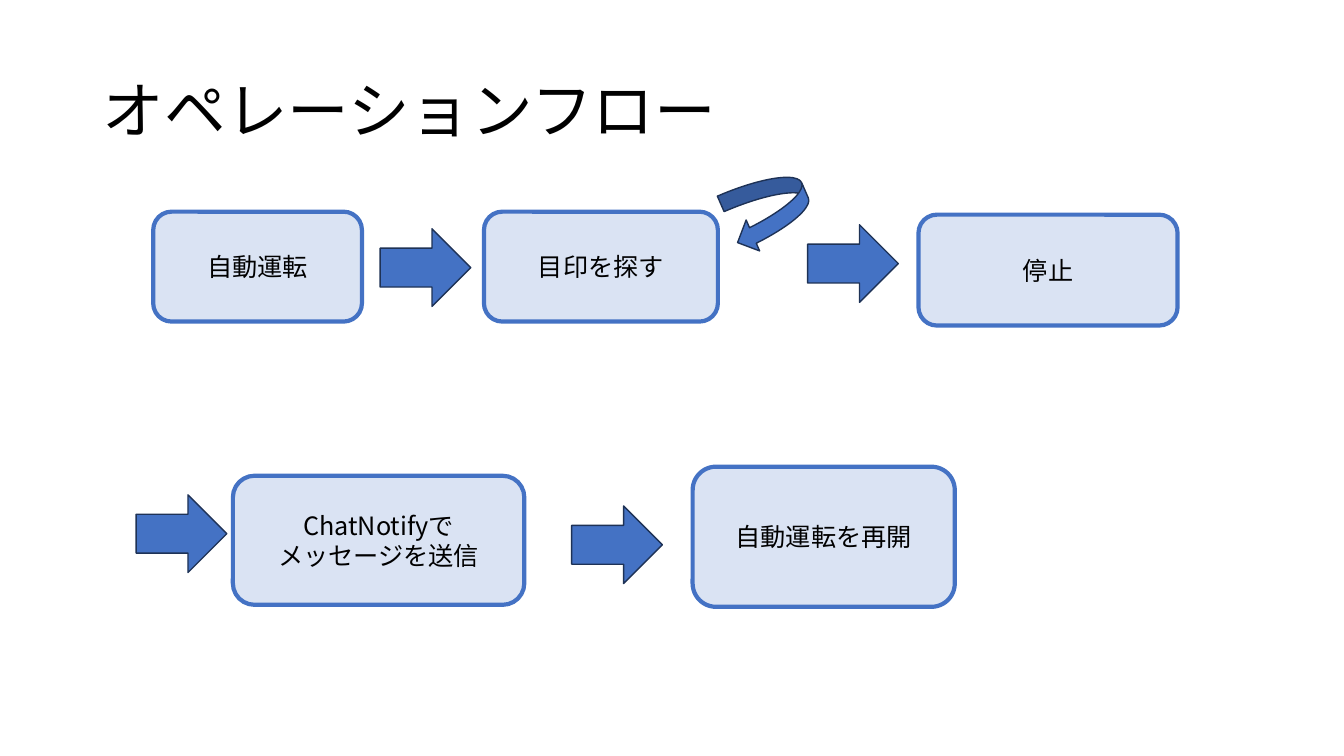
"""Build the operation flow slide: five steps joined by block arrows."""
from dataclasses import dataclass

from lxml import etree
from pptx import Presentation
from pptx.dml.color import RGBColor
from pptx.enum.shapes import MSO_SHAPE
from pptx.enum.text import MSO_ANCHOR, PP_ALIGN
from pptx.oxml.ns import qn
from pptx.util import Inches, Pt

ROUNDED = MSO_SHAPE.ROUNDED_RECTANGLE
RIGHT_ARROW = MSO_SHAPE.RIGHT_ARROW
CURVED_ARROW = MSO_SHAPE.CURVED_DOWN_ARROW
MIDDLE = MSO_ANCHOR.MIDDLE
LEFT, CENTER = PP_ALIGN.LEFT, PP_ALIGN.CENTER


@dataclass(frozen=True)
class Theme:
    font: str = "Noto Sans CJK JP"
    text: RGBColor = RGBColor(0x00, 0x00, 0x00)
    step_fill: RGBColor = RGBColor(0xDA, 0xE3, 0xF3)
    accent: RGBColor = RGBColor(0x44, 0x72, 0xC4)
    arrow_line: RGBColor = RGBColor(0x1E, 0x32, 0x56)
    title_size: int = 44
    step_size: int = 18


THEME = Theme()


def write_text(shape, text, *, size, align, spacing=1.0):
    frame = shape.text_frame
    frame.word_wrap = True
    frame.vertical_anchor = MIDDLE
    for index, line in enumerate(text.split("\n")):
        para = frame.add_paragraph() if index else frame.paragraphs[0]
        para.alignment = align
        para.line_spacing = spacing
        span = para.add_run()
        span.text = line
        span.font.size = Pt(size)
        span.font.name = THEME.font
        span.font.color.rgb = THEME.text
        east_asian = etree.SubElement(span.font._element, qn("a:ea"))
        east_asian.set("typeface", THEME.font)


def add_block(page, kind, bounds, *, fill, line, weight):
    block = page.shapes.add_shape(kind, *map(Inches, bounds))
    block.shadow.inherit = False
    block.fill.solid()
    block.fill.fore_color.rgb = fill
    block.line.color.rgb = line
    block.line.width = Pt(weight)
    return block


deck = Presentation()
deck.slide_width = Inches(13.33)
deck.slide_height = Inches(7.5)
page = deck.slides.add_slide(deck.slide_layouts[5])

title = page.shapes.title
title.left, title.top = Inches(0.92), Inches(0.4)
title.width, title.height = Inches(11.5), Inches(1.45)
write_text(title, "オペレーションフロー", size=THEME.title_size, align=LEFT, spacing=0.9)

steps = [
    ("自動運転", (1.52, 2.1, 2.07, 1.09)),
    ("目印を探す", (4.8, 2.1, 2.32, 1.09)),
    ("停止", (9.11, 2.13, 2.57, 1.1)),
    ("ChatNotifyで\nメッセージを送信", (2.31, 4.72, 2.89, 1.28)),
    ("自動運転を再開", (6.87, 4.63, 2.6, 1.39)),
]
for label, bounds in steps:
    box = add_block(page, ROUNDED, bounds, fill=THEME.step_fill, line=THEME.accent, weight=3)
    write_text(box, label, size=THEME.step_size, align=CENTER)

arrows = [
    (RIGHT_ARROW, (3.77, 2.27, 0.9, 0.77), 0),
    (RIGHT_ARROW, (8.01, 2.23, 0.9, 0.77), 0),
    (RIGHT_ARROW, (1.35, 4.91, 0.9, 0.77), 0),
    (RIGHT_ARROW, (5.67, 5.02, 0.9, 0.77), 0),
    (CURVED_ARROW, (7.29, 1.68, 0.67, 0.82), 66.5),
]
for kind, bounds, angle in arrows:
    arrow = add_block(page, kind, bounds, fill=THEME.accent, line=THEME.arrow_line, weight=1)
    arrow.rotation = angle

deck.save("out.pptx")
